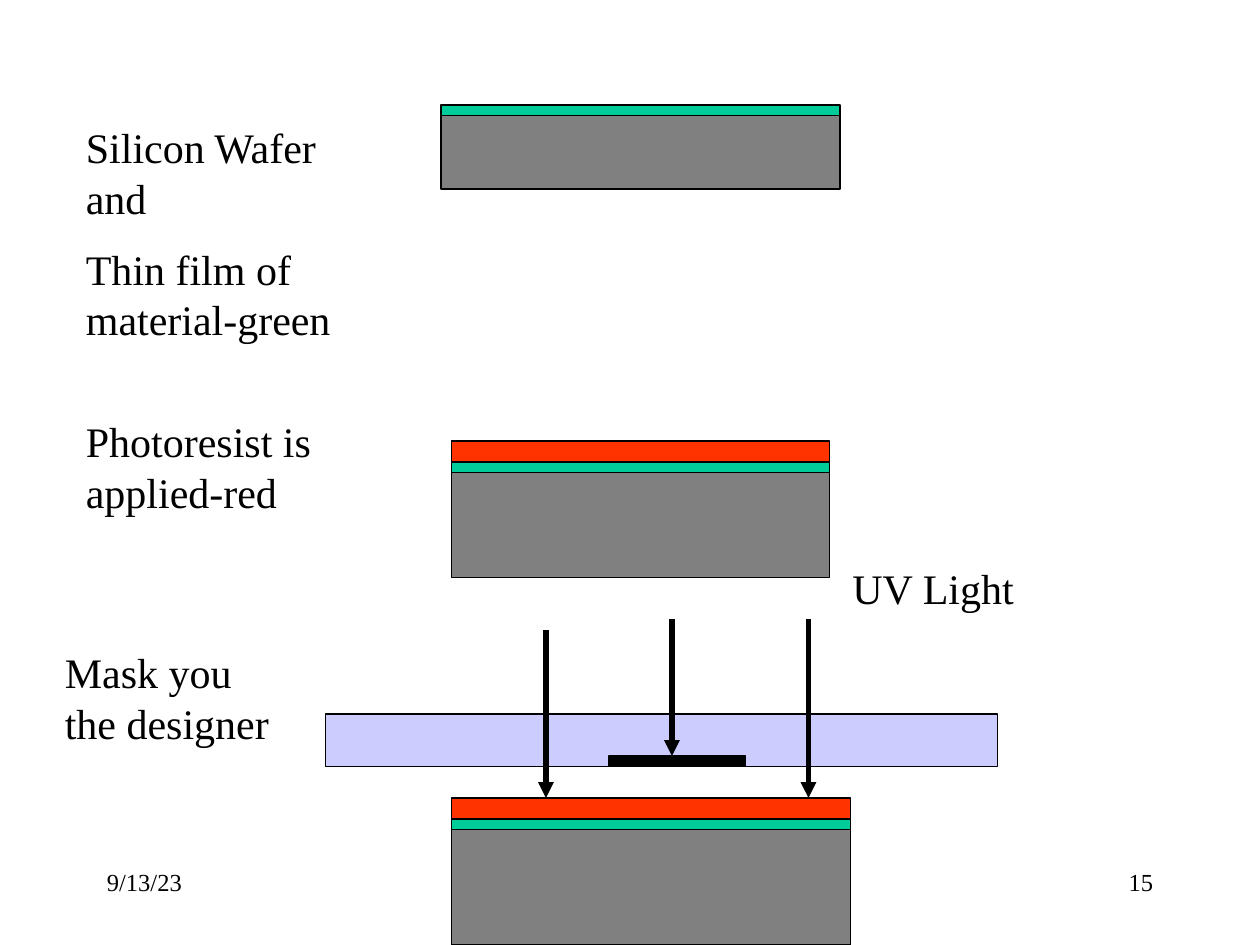
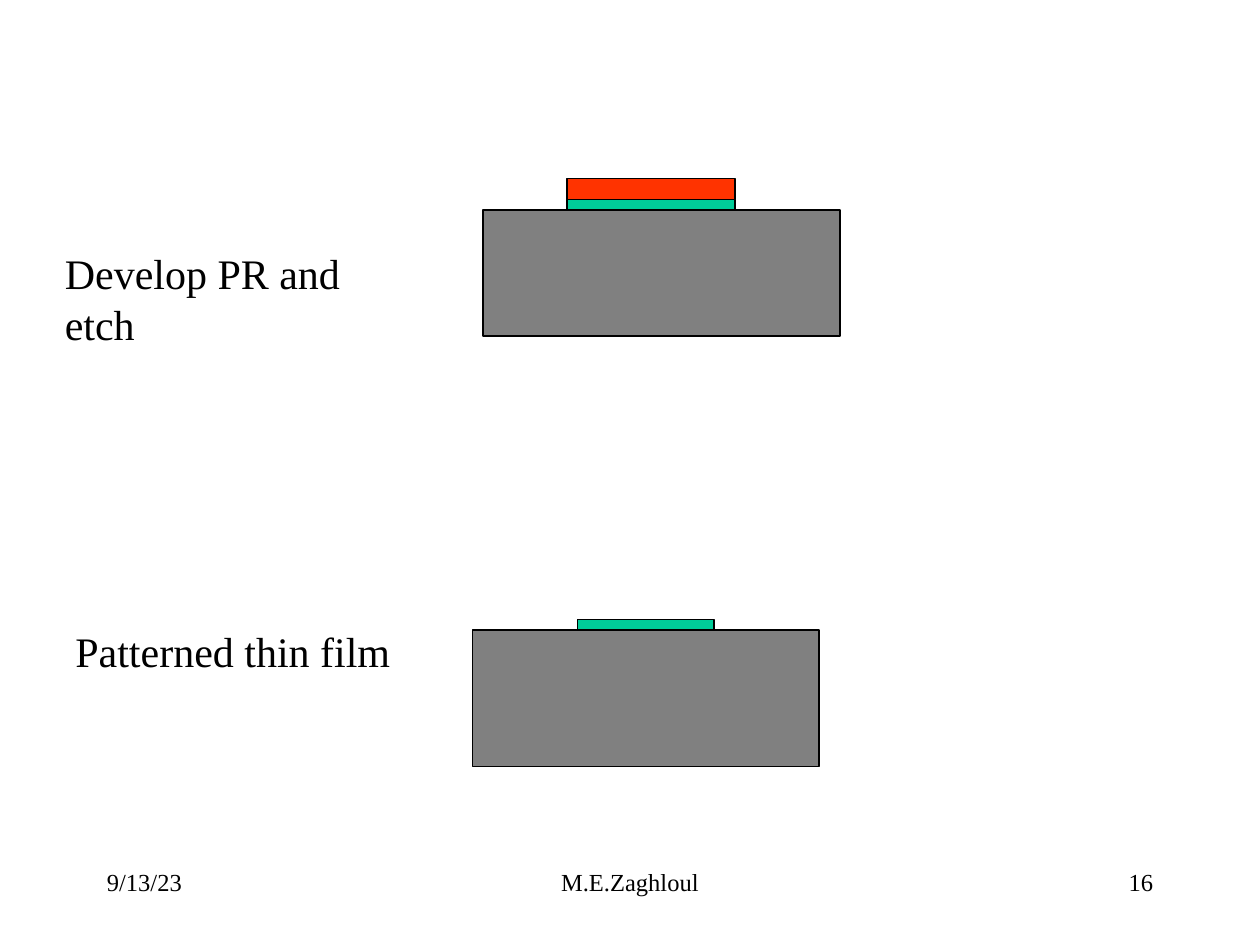
"""Build two slides showing the photolithography steps of a thin film on a silicon wafer."""
import pptx
import pptx.dml.color
import pptx.enum.shapes
import pptx.enum.text
import pptx.oxml
import pptx.oxml.ns
import pptx.util

COLORS = {
    "ink": "000000",
    "silicon": "808080",
    "film": "00CC99",
    "resist": "FF3300",
    "glass": "CCCCFF",
    "chrome": "000000",
    "paper": "FFFFFF",
}
FONT = "Times New Roman"
ALIGN = pptx.enum.text.PP_ALIGN

deck = pptx.Presentation()
deck.slide_width = pptx.util.Inches(10)
deck.slide_height = pptx.util.Inches(7.5)
COLUMN = deck.slide_width // 120
ROW = deck.slide_height // 90


def add_layer(slide, material, left, top, width, height):
    """Draw one rectangle of a material, measured in grid cells."""
    layer = slide.shapes.add_shape(
        pptx.enum.shapes.MSO_SHAPE.RECTANGLE,
        left * COLUMN, top * ROW, width * COLUMN, height * ROW)
    layer.shadow.inherit = False
    layer.fill.solid()
    layer.fill.fore_color.rgb = pptx.dml.color.RGBColor.from_string(COLORS[material])
    layer.line.color.rgb = pptx.dml.color.RGBColor.from_string(COLORS["ink"])
    layer.line.width = pptx.util.Pt(0.75)


def add_label(slide, wording, left, top, width, height, size=24, align=ALIGN.LEFT):
    """Write a wrapped label, measured in grid cells."""
    label = slide.shapes.add_textbox(left * COLUMN, top * ROW, width * COLUMN, height * ROW)
    label.text_frame.word_wrap = True
    label.text_frame.text = wording
    for index, paragraph in enumerate(label.text_frame.paragraphs):
        paragraph.alignment = align
        if index:
            paragraph.space_before = pptx.util.Pt(size / 2)
        for run in paragraph.runs:
            run.font.name = FONT
            run.font.size = pptx.util.Pt(size)
            run.font.color.rgb = pptx.dml.color.RGBColor.from_string(COLORS["ink"])


steps = [
    {
        "number": "15",
        "author": "",
        "wafers": [
            (42, 11, 38, 7, 42, 38, False),
            (43, 45, 36, 10, 43, 36, True),
            (43, 79, 38, 11, 43, 38, True),
        ],
        "mask": [("glass", 31, 68, 64, 5), ("chrome", 58, 72, 13, 1)],
        "rays": [(52, 60, 76), (77, 59, 76), (64, 59, 72)],
        "labels": [
            ("Silicon Wafer and\nThin film of material-green", 7, 11, 30, 23),
            ("Photoresist is applied-red", 7, 39, 30, 11),
            ("Mask you the designer", 5, 61, 23, 11),
            ("UV Light", 80, 53, 32, 6),
        ],
    },
    {
        "number": "16",
        "author": "M.E.Zaghloul",
        "wafers": [
            (46, 20, 34, 12, 54, 16, True),
            (45, 60, 33, 13, 55, 13, False),
        ],
        "mask": [],
        "rays": [],
        "labels": [
            ("Develop PR and etch", 5, 23, 29, 11),
            ("Patterned thin film", 6, 59, 33, 6),
        ],
    },
]

for step in steps:
    slide = deck.slides.add_slide(deck.slide_layouts[6])
    slide.background.fill.solid()
    slide.background.fill.fore_color.rgb = pptx.dml.color.RGBColor.from_string(COLORS["paper"])

    footer = [("9/13/23", 9, 25, ALIGN.LEFT),
              (step["author"], 41, 38, ALIGN.CENTER),
              (step["number"], 86, 25, ALIGN.RIGHT)]
    for wording, left, width, align in footer:
        if wording:
            add_label(slide, wording, left, 82, width, 6, 14, align)

    for left, top, width, height, film_left, film_width, has_resist in step["wafers"]:
        add_layer(slide, "silicon", left, top, width, height)
        add_layer(slide, "film", film_left, top - 1, film_width, 1)
        if has_resist:
            add_layer(slide, "resist", film_left, top - 3, film_width, 2)

    for part in step["mask"]:
        add_layer(slide, *part)

    for column, start, end in step["rays"]:
        ray = slide.shapes.add_connector(
            pptx.enum.shapes.MSO_CONNECTOR.STRAIGHT,
            column * COLUMN, start * ROW, column * COLUMN, end * ROW)
        ray.line.color.rgb = pptx.dml.color.RGBColor.from_string(COLORS["ink"])
        ray.line.width = pptx.util.Pt(3)
        arrowhead = pptx.oxml.parse_xml(
            f'<a:tailEnd {pptx.oxml.ns.nsdecls("a")} type="triangle"/>')
        ray.line._get_or_add_ln().append(arrowhead)
        no_shadow = pptx.oxml.parse_xml(f'<a:effectLst {pptx.oxml.ns.nsdecls("a")}/>')
        ray._element.spPr.append(no_shadow)

    for label in step["labels"]:
        add_label(slide, *label)

deck.save("out.pptx")
